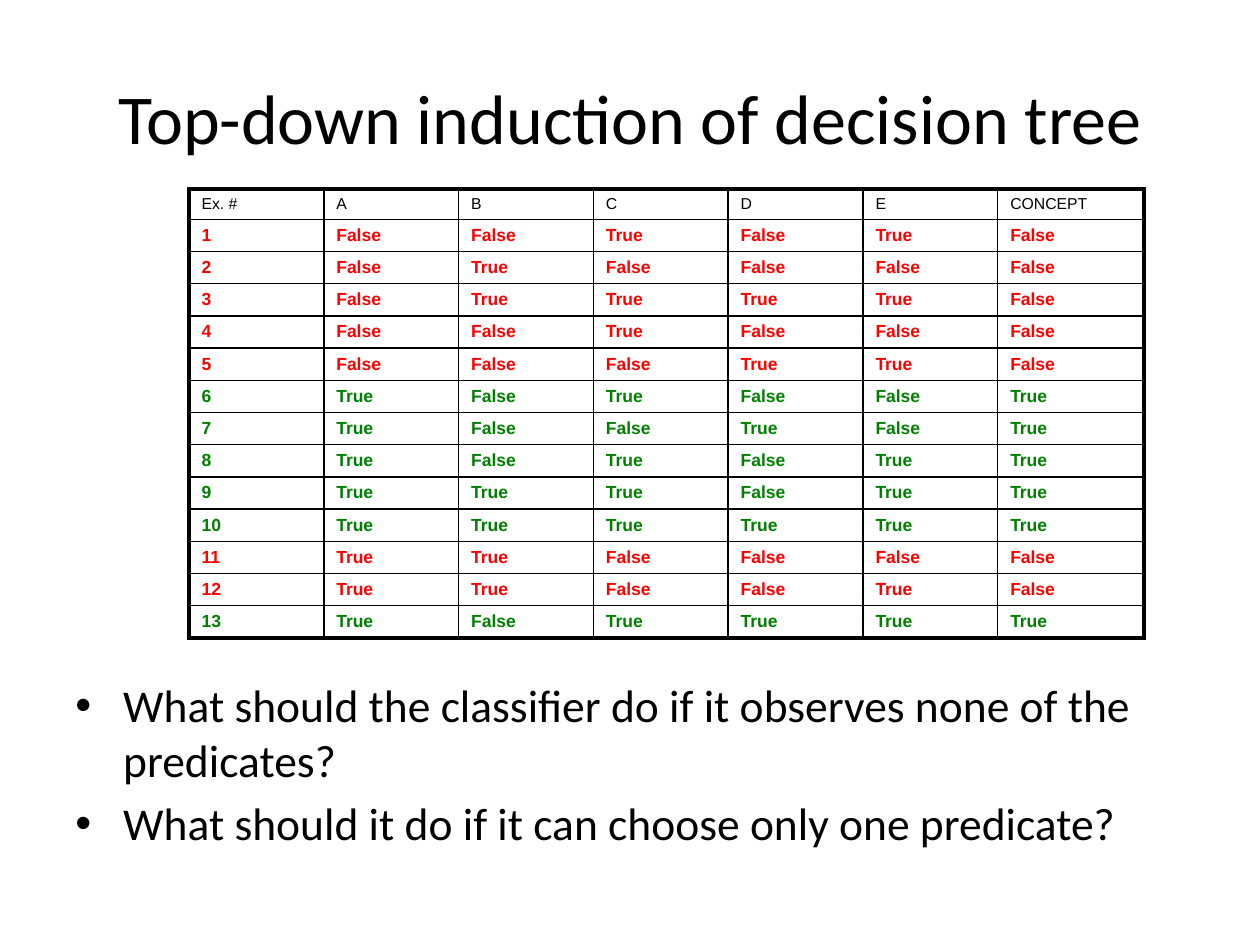
from lxml.etree import SubElement
from pptx import Presentation
from pptx.dml.color import RGBColor
from pptx.enum.text import MSO_ANCHOR, PP_ALIGN
from pptx.oxml.ns import qn
from pptx.util import Inches, Pt

MIDDLE = MSO_ANCHOR.MIDDLE
CENTER = PP_ALIGN.CENTER
LEFT = PP_ALIGN.LEFT
TITLE_ONLY = 5
WIDTH, HEIGHT = 10, 7.5
BLACK, RED, GREEN = "000000", "FF0000", "008000"
THIN, THICK = 1, 2.25
INDENT = 0.38
COLUMNS = [1.07] * 6 + [1.16]
HEADER_ROW, EXAMPLE_ROW = 0.2, 0.24
HEADINGS = ["Ex. #", "A", "B", "C", "D", "E", "CONCEPT"]
EXAMPLES = [
    "FFTFTF", "FTFFFF", "FTTTTF", "FFTFFF", "FFFTTF", "TFTFFT", "TFFTFT",
    "TFTFTT", "TTTFTT", "TTTTTT", "TTFFFF", "TTFFTF", "TFTTTT",
]
WORDS = {"T": "True", "F": "False"}
QUESTIONS = [
    "What should the classifier do if it observes none of the predicates?",
    "What should it do if it can choose only one predicate?",
]


def color(code):
    """Turn a hex string into a colour."""
    return RGBColor.from_string(code)


def style(para, font, size, code, bold=False):
    """Format every run of a paragraph."""
    for span in para.runs:
        span.font.name = font
        span.font.size = Pt(size)
        span.font.bold = bold
        span.font.color.rgb = color(code)


def space_before(para, percent):
    """Set the space above a paragraph as a percentage of its line."""
    spacing = SubElement(para._p.get_or_add_pPr(), qn("a:spcBef"))
    SubElement(spacing, qn("a:spcPct"), val=str(percent * 1000))


def add_bullet(para):
    """Give a paragraph a hanging round bullet."""
    properties = para._p.get_or_add_pPr()
    properties.set("marL", str(Inches(INDENT)))
    properties.set("indent", str(-Inches(INDENT)))
    SubElement(properties, qn("a:buFont"), typeface="Arial")
    SubElement(properties, qn("a:buChar"), char="•")


def set_borders(cell, weights):
    """Draw the left, right, top and bottom borders of a cell."""
    properties = cell._tc.get_or_add_tcPr()
    for side, weight in zip("LRTB", weights):
        line = SubElement(properties, qn(f"a:ln{side}"), w=str(Pt(weight)))
        fill = SubElement(line, qn("a:solidFill"))
        SubElement(fill, qn("a:srgbClr"), val=BLACK)


def place_title(page, box, text):
    """Move, fill and format the title placeholder."""
    title = page.shapes.title
    title.left, title.top, title.width, title.height = map(Inches, box)
    frame = title.text_frame
    frame.text = text
    frame.vertical_anchor = MIDDLE
    frame.paragraphs[0].alignment = CENTER
    style(frame.paragraphs[0], "Calibri", 40, BLACK)


def place_examples(page, box):
    """Build the table of examples, coloured by their concept."""
    rows = [HEADINGS] + [
        [str(number)] + [WORDS[mark] for mark in marks]
        for number, marks in enumerate(EXAMPLES, 1)
    ]
    last_row, last_column = len(rows) - 1, len(COLUMNS) - 1
    frame = page.shapes.add_table(len(rows), len(COLUMNS), *map(Inches, box))
    table = frame.table
    table.first_row = table.horz_banding = False
    for column, width in zip(table.columns, COLUMNS):
        column.width = Inches(width)
    for r, values in enumerate(rows):
        table.rows[r].height = Inches(EXAMPLE_ROW if r else HEADER_ROW)
        code = GREEN if values[-1] == "True" else RED
        for c, value in enumerate(values):
            cell = table.cell(r, c)
            edges = (c == 0, c == last_column, r == 0, r == last_row)
            set_borders(cell, [THICK if edge else THIN for edge in edges])
            cell.fill.background()
            cell.text_frame.text = value
            para = cell.text_frame.paragraphs[0]
            space_before(para, 20)
            if r:
                style(para, "Arial", 10, code, bold=True)
            else:
                style(para, "Arial", 9, BLACK)
    frame.height = Inches(box[3])


def place_questions(page, box):
    """Add the bulleted questions."""
    frame = page.shapes.add_textbox(*map(Inches, box)).text_frame
    frame.word_wrap = True
    frame.text = "\n".join(QUESTIONS)
    for para in frame.paragraphs:
        para.alignment = LEFT
        space_before(para, 20)
        add_bullet(para)
        style(para, "Calibri", 26, BLACK)


def main():
    """Build and save the deck."""
    deck = Presentation()
    deck.slide_width, deck.slide_height = Inches(WIDTH), Inches(HEIGHT)
    page = deck.slides.add_slide(deck.slide_layouts[TITLE_ONLY])
    margin = WIDTH * 0.05
    content = WIDTH - 2 * margin
    place_title(page, (margin, HEIGHT * 0.04, content, 1.25),
                "Top-down induction of decision tree")
    place_examples(page, (WIDTH * 0.15, HEIGHT * 0.2, sum(COLUMNS), 3.72))
    place_questions(page, (margin, HEIGHT * 0.71, content, HEIGHT * 0.66))
    deck.save("out.pptx")


if __name__ == "__main__":
    main()
